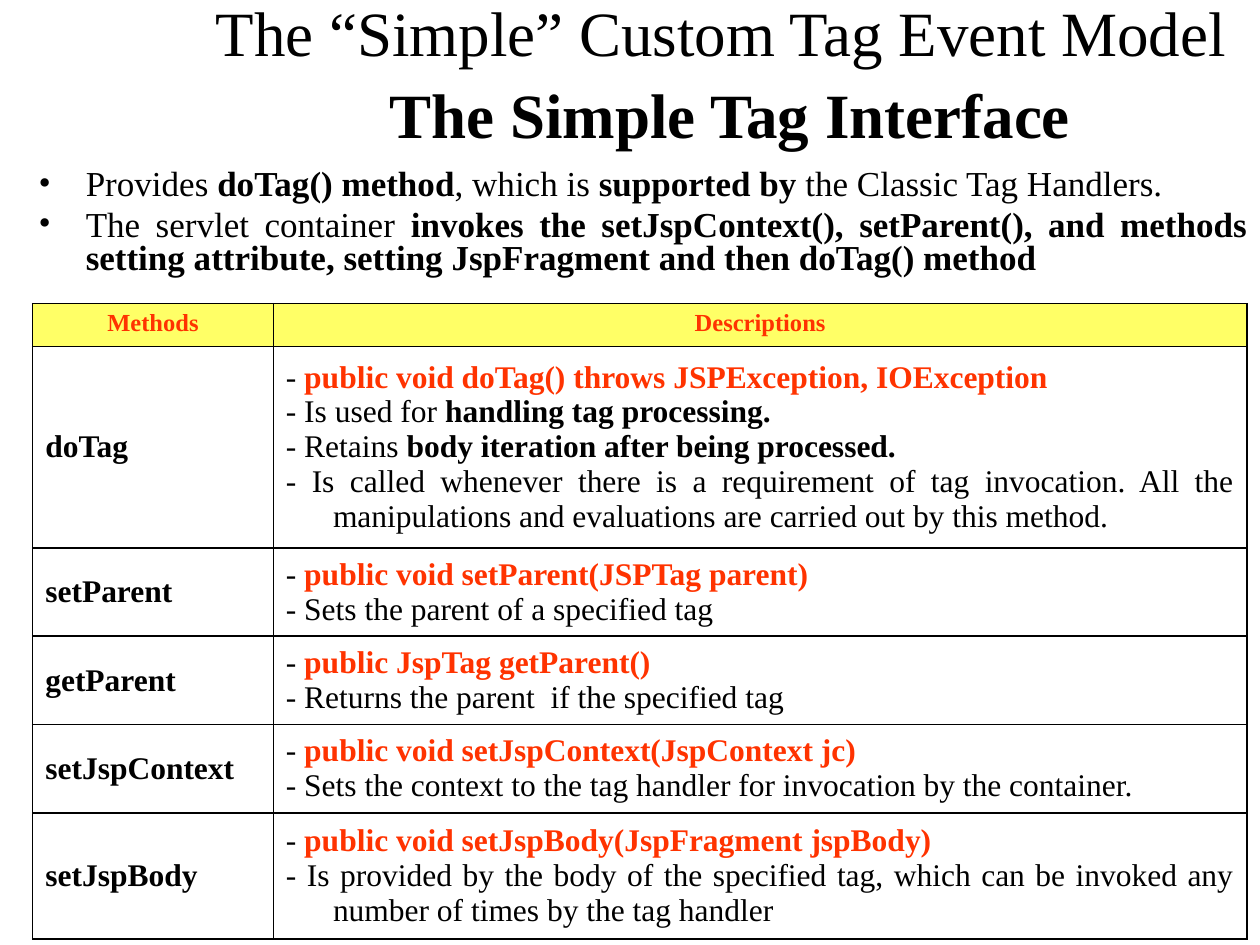
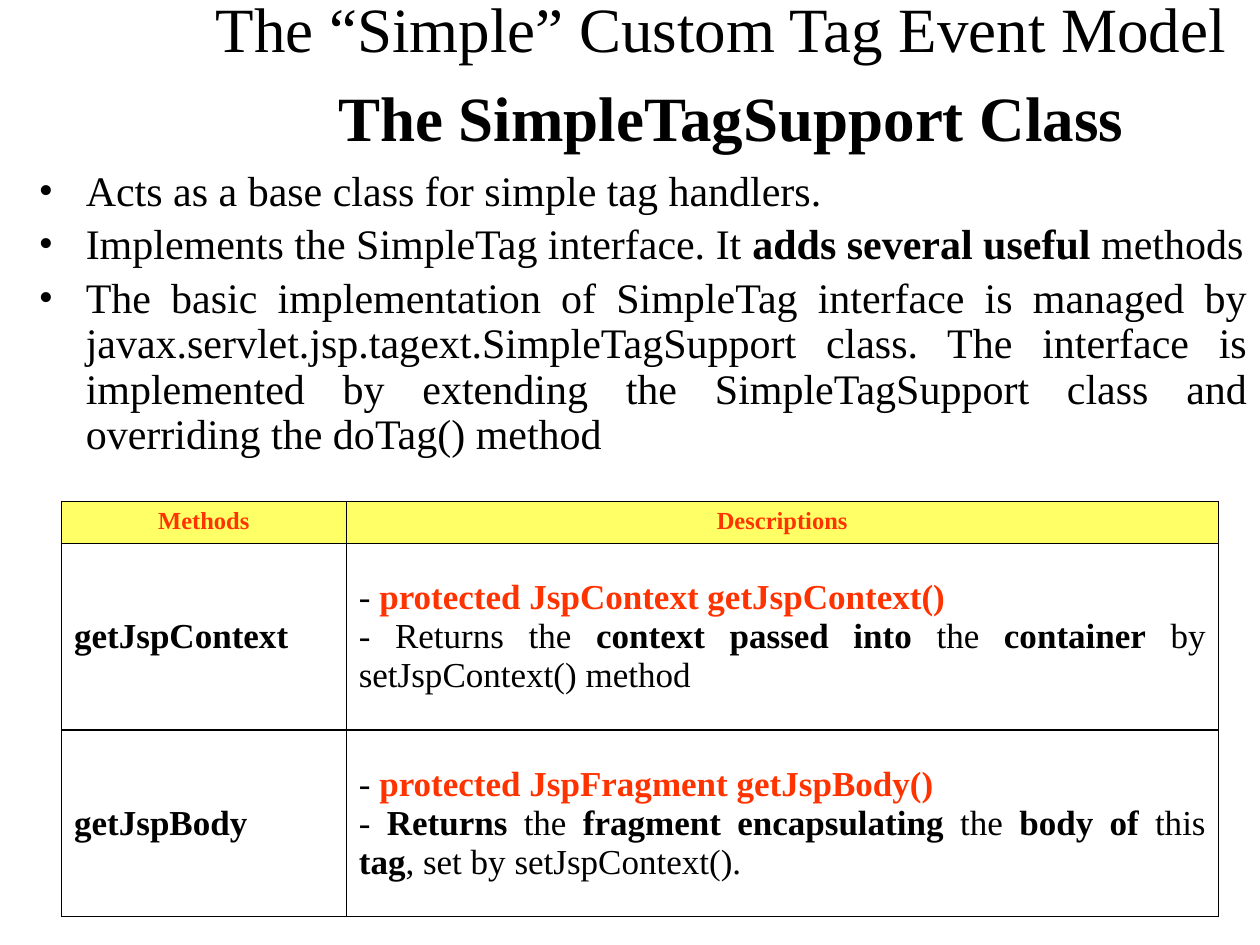
from lxml.etree import SubElement
from pptx import Presentation
from pptx.dml.color import RGBColor
from pptx.enum.text import MSO_ANCHOR, MSO_AUTO_SIZE, PP_ALIGN
from pptx.oxml.ns import qn
from pptx.util import Cm, Pt

FONT = "Times New Roman"
BLACK, SIGNATURE_RED, HEADER_YELLOW = "000000", "FF3300", "FFFF66"
HANGING = 0.95
TITLE_TOP_LINE = "The “Simple” Custom Tag Event Model"

INTERFACE_POINTS = [
    "Provides *doTag() method*, which is *supported by* the Classic Tag Handlers.",
    "The servlet container *invokes the setJspContext(), setParent(), and methods "
    "setting attribute, setting JspFragment and then doTag() method*",
]
INTERFACE_METHODS = [
    ("doTag", "public void doTag() throws JSPException, IOException", [
        "Is used for *handling tag processing.*",
        "Retains *body iteration after being processed.*",
        "Is called whenever there is a requirement of tag invocation. All the "
        "manipulations and evaluations are carried out by this method.",
    ]),
    ("setParent", "public void setParent(JSPTag parent)",
     ["Sets the parent of a specified tag"]),
    ("getParent", "public JspTag getParent()",
     ["Returns the parent  if the specified tag"]),
    ("setJspContext", "public void setJspContext(JspContext jc)",
     ["Sets the context to the tag handler for invocation by the container."]),
    ("setJspBody", "public void setJspBody(JspFragment jspBody)",
     ["Is provided by the body of the specified tag, which can be invoked any "
      "number of times by the tag handler"]),
]
SUPPORT_POINTS = [
    "Acts as a base class for simple tag handlers.",
    "Implements the SimpleTag interface. It *adds several useful* methods",
    "The basic implementation of SimpleTag interface is managed by "
    "javax.servlet.jsp.tagext.SimpleTagSupport class. The interface is implemented "
    "by extending the SimpleTagSupport class and overriding the doTag() method",
]
SUPPORT_METHODS = [
    ("getJspContext", "protected JspContext getJspContext()",
     ["Returns the *context passed into* the *container* by setJspContext() method"]),
    ("getJspBody", "protected JspFragment getJspBody()",
     ["*Returns* the *fragment encapsulating* the *body of* this *tag*, "
      "set by setJspContext()."]),
]


def rgb(value):
    return RGBColor.from_string(value)


def write(paragraph, text, size, bold=False, color=BLACK, strong_color=None, align=None):
    if align is not None:
        paragraph.alignment = align
    for position, part in enumerate(text.split("*")):
        if not part:
            continue
        strong = position % 2 == 1
        run = paragraph.add_run()
        run.text = part
        run.font.name = FONT
        run.font.size = Pt(size)
        run.font.bold = bold or strong
        run.font.color.rgb = rgb(strong_color if strong and strong_color else color)


def hang(paragraph, indent):
    properties = paragraph._p.get_or_add_pPr()
    properties.set("marL", str(Cm(indent)))
    properties.set("indent", str(-Cm(indent)))
    return properties


def next_paragraph(frame, index):
    return frame.add_paragraph() if index else frame.paragraphs[0]


def set_title(slide, heading, lead_size):
    title = slide.shapes.title
    title.left, title.top, title.width, title.height = Cm(3.68), Cm(0), Cm(21.72), Cm(2.95)
    frame = title.text_frame
    frame.word_wrap = True
    frame.auto_size = MSO_AUTO_SIZE.NONE
    frame.vertical_anchor = MSO_ANCHOR.MIDDLE
    paragraph = frame.paragraphs[0]
    write(paragraph, TITLE_TOP_LINE, 36, align=PP_ALIGN.CENTER)
    paragraph.add_line_break()
    write(paragraph, " ", lead_size, bold=True)
    write(paragraph, heading, 36, bold=True)


def add_points(slide, points, height, size, line_spacing):
    box = slide.shapes.add_textbox(Cm(0.53), Cm(3.3), Cm(24.87), Cm(height))
    frame = box.text_frame
    frame.word_wrap = True
    for index, point in enumerate(points):
        paragraph = next_paragraph(frame, index)
        properties = hang(paragraph, HANGING)
        SubElement(properties, qn("a:buFont"), typeface=FONT)
        SubElement(properties, qn("a:buChar"), char="•")
        paragraph.line_spacing = line_spacing
        if index:
            paragraph.space_before = Pt(0.2 * size)
        write(paragraph, point, size, align=PP_ALIGN.JUSTIFY)


def style_cell(cell, fill=None, anchor=MSO_ANCHOR.MIDDLE):
    cell.vertical_anchor = anchor
    properties = cell._tc.get_or_add_tcPr()
    for side in ("lnL", "lnR", "lnT", "lnB"):
        border = SubElement(properties, qn(f"a:{side}"), w=str(Pt(1)))
        solid = SubElement(border, qn("a:solidFill"))
        SubElement(solid, qn("a:srgbClr"), val=BLACK)
    if fill:
        cell.fill.solid()
        cell.fill.fore_color.rgb = rgb(fill)
    else:
        cell.fill.background()


def add_method_table(slide, methods, left, top, widths, heights, size, indent=0):
    frame = slide.shapes.add_table(len(heights), len(widths), Cm(left), Cm(top),
                                   Cm(sum(widths)), Cm(sum(heights)))
    table = frame.table
    table.first_row = table.horz_banding = False
    for column, width in zip(table.columns, widths):
        column.width = Cm(width)
    for row, height in zip(table.rows, heights):
        row.height = Cm(height)

    for column, label in enumerate(("Methods", "Descriptions")):
        cell = table.cell(0, column)
        style_cell(cell, HEADER_YELLOW, MSO_ANCHOR.TOP)
        paragraph = cell.text_frame.paragraphs[0]
        hang(paragraph, indent)
        write(paragraph, label, 14, bold=True, color=SIGNATURE_RED, align=PP_ALIGN.CENTER)

    for row, (method, signature, remarks) in enumerate(methods, start=1):
        method_cell, description_cell = table.cell(row, 0), table.cell(row, 1)
        style_cell(method_cell)
        style_cell(description_cell)
        paragraph = method_cell.text_frame.paragraphs[0]
        hang(paragraph, indent)
        write(paragraph, method, size, bold=True, align=PP_ALIGN.LEFT)
        for index, remark in enumerate([f"*{signature}*", *remarks]):
            paragraph = next_paragraph(description_cell.text_frame, index)
            hang(paragraph, indent)
            write(paragraph, f"- {remark}", size, align=PP_ALIGN.JUSTIFY,
                  strong_color=BLACK if index else SIGNATURE_RED)


def main():
    deck = Presentation()
    deck.slide_width, deck.slide_height = Cm(25.4), Cm(19.05)
    title_only = deck.slide_layouts[5]

    interface = deck.slides.add_slide(title_only)
    set_title(interface, "The Simple Tag Interface", 40)
    add_points(interface, INTERFACE_POINTS, 3.56, 20, 0.8)
    add_method_table(interface, INTERFACE_METHODS, 0.66, 6.12, (4.85, 19.63),
                     (0.86, 4.06, 1.78, 1.78, 1.78, 2.54), 18, HANGING)

    support = deck.slides.add_slide(title_only)
    set_title(support, "The SimpleTagSupport Class", 44)
    add_points(support, SUPPORT_POINTS, 6.2, 24, 0.9)
    add_method_table(support, SUPPORT_METHODS, 1.24, 10.11, (5.74, 17.58),
                     (0.84, 3.76, 3.76), 20)

    deck.save("out.pptx")


if __name__ == "__main__":
    main()
